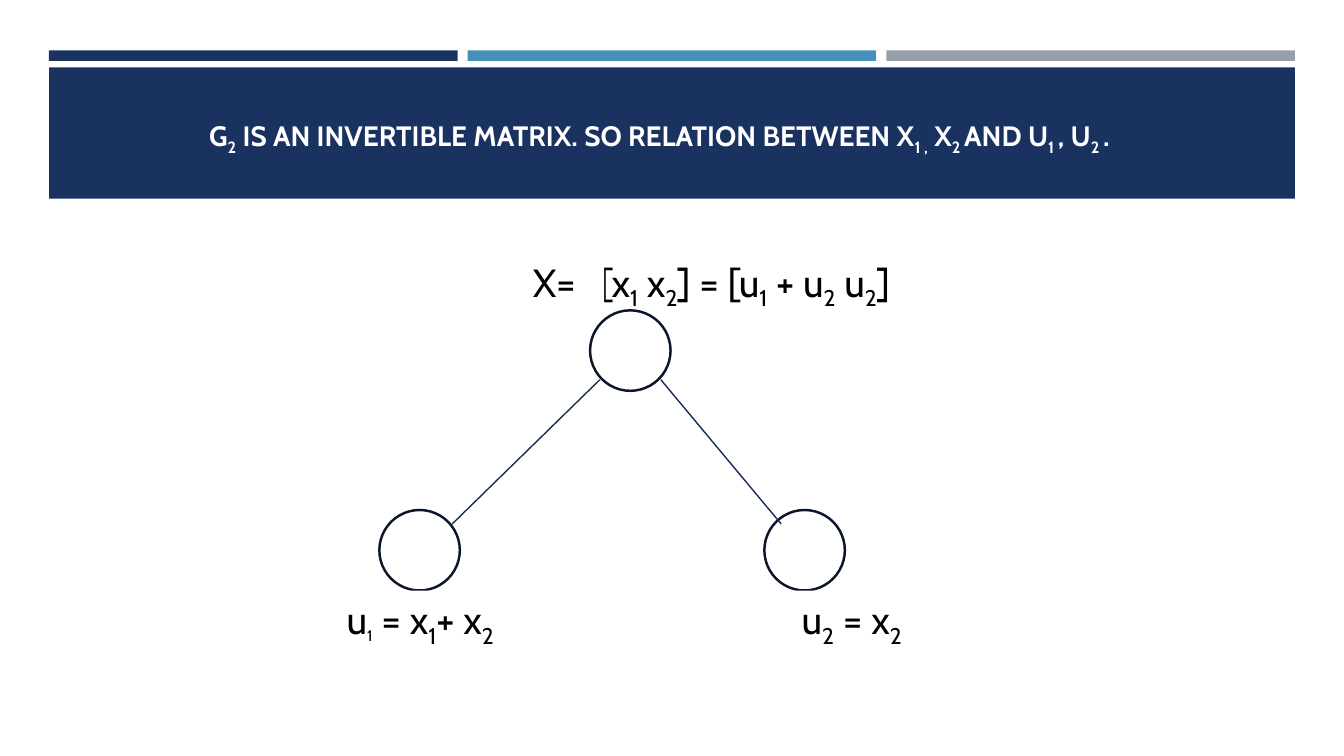
import dataclasses

import pptx
import pptx.dml.color
import pptx.enum.shapes
import pptx.enum.text
import pptx.oxml.ns
import pptx.util
from lxml import etree

Pt = pptx.util.Pt
Shape = pptx.enum.shapes.MSO_SHAPE
Align = pptx.enum.text.PP_ALIGN
Anchor = pptx.enum.text.MSO_ANCHOR


@dataclasses.dataclass(frozen=True)
class Theme:
    font: str = "Cabin"
    navy: str = "1A3260"
    blue: str = "4590B8"
    grey: str = "969FA7"
    outline: str = "0B162A"
    edge: str = "172D56"
    white: str = "FFFFFF"
    black: str = "000000"
    title_size: float = 20
    formula_size: float = 28
    small_size: float = 19


@dataclasses.dataclass(frozen=True)
class Box:
    left: float
    top: float
    width: float
    height: float

    def lengths(self):
        return [Pt(value) for value in dataclasses.astuple(self)]

    def inner(self, left, top, width, height):
        return Box(self.left + left, self.top + top, width, height)


THEME = Theme()


def color(value):
    return pptx.dml.color.RGBColor.from_string(value)


def add_figure(page, kind, box, fill, line=None):
    figure = page.shapes.add_shape(kind, *box.lengths())
    figure.shadow.inherit = False
    figure.fill.solid()
    figure.fill.fore_color.rgb = color(fill)
    if line:
        figure.line.color.rgb = color(line)
        figure.line.width = Pt(1.75)
    else:
        figure.line.fill.background()
    return figure


def write_text(frame, text, size=THEME.formula_size, ink=THEME.black, bold=False,
               align=Align.LEFT, anchor=Anchor.TOP, first_subscript_size=None):
    """Text between braces becomes a subscript."""
    frame.word_wrap = True
    frame.vertical_anchor = anchor
    para = frame.paragraphs[0]
    para.alignment = align
    for index, piece in enumerate(text.replace("}", "{").split("{")):
        if not piece:
            continue
        span = para.add_run()
        span.text = piece
        span.font.name = THEME.font
        span.font.size = Pt(size)
        span.font.bold = bold
        span.font.color.rgb = color(ink)
        if index % 2:
            span._r.get_or_add_rPr().set("baseline", "-25000")
        if index == 1 and first_subscript_size:
            span.font.size = Pt(first_subscript_size)


def add_formula(page, box, text, **formats):
    label = add_figure(page, Shape.RECTANGLE, box, THEME.white)
    write_text(label.text_frame, text, **formats)


def add_edge(page, start, end):
    edge = page.shapes.add_connector(
        pptx.enum.shapes.MSO_CONNECTOR.STRAIGHT, *map(Pt, start + end))
    edge.line.color.rgb = color(THEME.edge)
    edge.line.width = Pt(1)
    etree.SubElement(edge._element.spPr, pptx.oxml.ns.qn("a:effectLst"))


def build_header(page, box):
    gap, bar_height, band_top = 7.2, 7.5, 12.2
    bar_width = (box.width - 2 * gap) / 3
    for index, fill in enumerate((THEME.navy, THEME.blue, THEME.grey)):
        bar = box.inner(index * (bar_width + gap), 0, bar_width, bar_height)
        add_figure(page, Shape.RECTANGLE, bar, fill)
    band = box.inner(0, band_top, box.width, box.height - band_top)
    add_figure(page, Shape.RECTANGLE, band, THEME.navy)

    title = page.shapes.title
    title.left, title.top, title.width, title.height = box.inner(22, 44, 828, 36).lengths()
    write_text(
        title.text_frame,
        "G{2} IS AN INVERTIBLE MATRIX. SO RELATION BETWEEN X{1 ,} X{2 }AND U{1 }, U{2 }.",
        size=THEME.title_size, ink=THEME.white, bold=True,
        align=Align.CENTER, anchor=Anchor.MIDDLE)
    page.shapes._spTree.append(title._element)


def build_tree(page, box):
    row = 41
    node = 57.5
    child_top = 183.6
    label_top = 241.2
    add_formula(page, box.inner(181, 0, 299, row), "[x{1} x{2}] = [u{1} + u{2} u{2}]")
    add_formula(page, box.inner(133, 0, 58, row), "X=")

    root = box.inner(181, row, node, node)
    left_child = box.inner(30.5, child_top, node, node)
    right_child = box.inner(305.5, child_top, node, node)
    for circle in (root, left_child, right_child):
        add_figure(page, Shape.OVAL, circle, THEME.white, THEME.outline)

    leave, arrive = root.top + 49.5, left_child.top + 10
    add_edge(page, (root.left + 50.5, leave), (right_child.left + 12, arrive))
    add_edge(page, (root.left + 7, leave), (left_child.left + 52, arrive))

    add_formula(page, box.inner(0, label_top, 177, row), "u{1} = x{1}+ x{2}",
                first_subscript_size=THEME.small_size)
    add_formula(page, box.inner(325, label_top, 108, 63), "u{2} = x{2}")


def main():
    deck = pptx.Presentation()
    deck.slide_width, deck.slide_height = Pt(960), Pt(540)
    page = deck.slides.add_slide(deck.slide_layouts[5])
    page.background.fill.solid()
    page.background.fill.fore_color.rgb = color(THEME.white)
    build_header(page, Box(35, 36, 890, 106))
    build_tree(page, Box(240.5, 180.7, 480, 304))
    deck.save("out.pptx")


if __name__ == "__main__":
    main()
